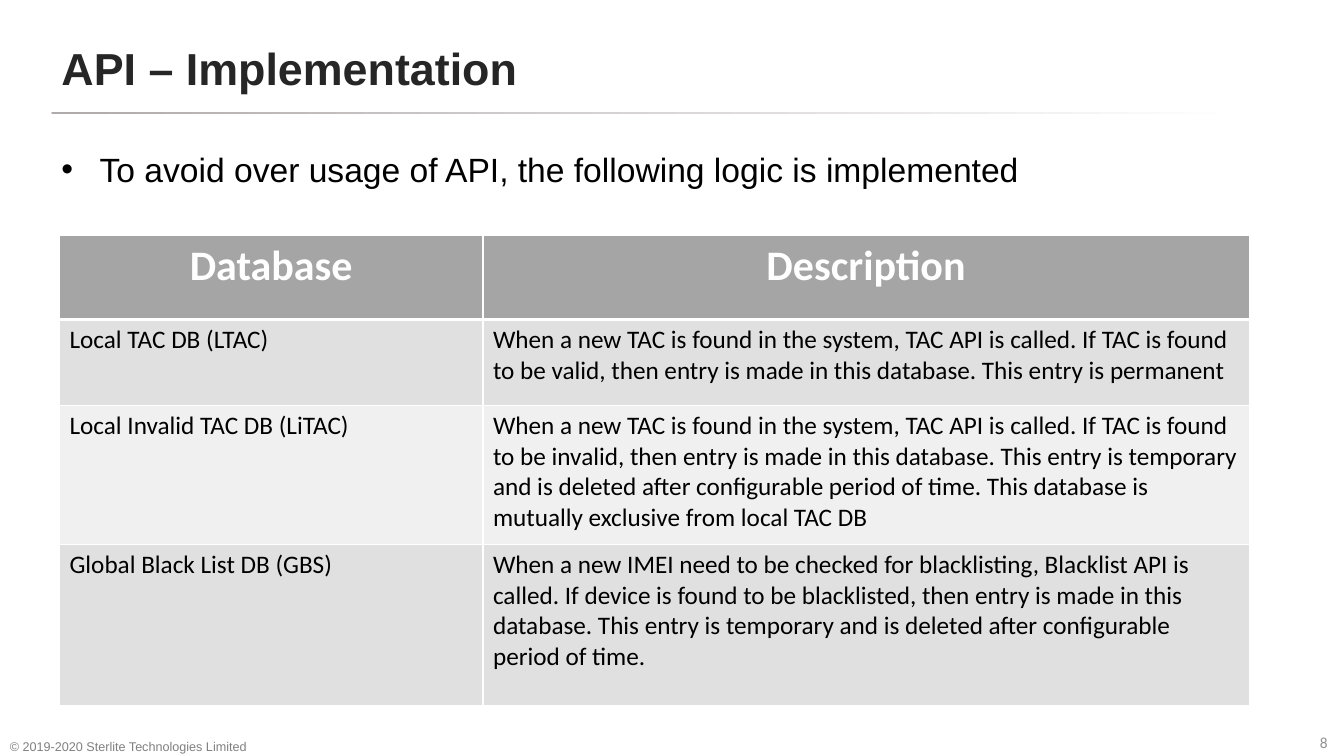
from lxml import etree
from pptx import Presentation, util as u
from pptx.dml.color import RGBColor
from pptx.enum import shapes, text
from pptx.oxml import ns


def color(value):
    return RGBColor.from_string(value)


def style(paragraph, size, name, value, bold=False):
    font = paragraph.font
    font.size, font.name, font.bold = u.Pt(size), name, bold
    font.color.rgb = color(value)


deck = Presentation()
deck.slide_width, deck.slide_height = u.Inches(13.33), u.Inches(7.5)
page = deck.slides.add_slide(deck.slide_layouts[5])
margin = u.Inches(0.51)

# Rule under the title, fading to white
rule = page.shapes.add_shape(shapes.MSO_SHAPE.ROUNDED_RECTANGLE, margin,
                             u.Inches(1.11), u.Inches(12.31), u.Inches(0.02))
rule.adjustments[0] = 0.5
rule.shadow.inherit = False
rule.line.fill.background()
rule.fill.gradient()
rule.fill.gradient_angle = 0
for stop, position, value in zip(rule.fill.gradient_stops, (0, 0.96), ("AFABAB", "FFFFFF")):
    stop.position = position
    stop.color.rgb = color(value)

# Title
title = page.shapes.title
title.left, title.top = margin, u.Inches(0.23)
title.width, title.height = u.Inches(10.88), u.Inches(0.88)
title.text_frame.text = "API – Implementation"
title.text_frame.auto_size = text.MSO_AUTO_SIZE.NONE
title.text_frame.vertical_anchor = text.MSO_ANCHOR.MIDDLE
heading = title.text_frame.paragraphs[0]
heading.alignment = text.PP_ALIGN.LEFT
style(heading, 32, "Arial", "262626", True)

# Bullet, page number and copyright line
boxes = {}
for name, wording, place, size, font_name, value in (
    ("number", "8", (13.04, 7.22, 0.27, 0.25), 11, "Calibri", "929292"),
    ("copyright", "© 2019-2020 Sterlite Technologies Limited", (0, 7.22, 3.03, 0.31),
     9, "Arial", "808080"),
    ("bullet", "To avoid over usage of API, the following logic is implemented",
     (0.51, 1.43, 12.66, 0.91), 24, "Arial", "000000"),
):
    frame = page.shapes.add_textbox(*map(u.Inches, place)).text_frame
    frame.word_wrap = name != "number"
    frame.text = wording
    para = frame.paragraphs[0]
    if name == "bullet":
        props = para._p.get_or_add_pPr()
        props.set("marL", str(u.Inches(0.38)))
        props.set("indent", str(-u.Inches(0.38)))
        etree.SubElement(props, ns.qn("a:buFont"), typeface="Arial")
        etree.SubElement(props, ns.qn("a:buChar"), char="•")
    style(para, size, font_name, value)
    boxes[name] = frame
boxes["copyright"].vertical_anchor = text.MSO_ANCHOR.BOTTOM
number = boxes["number"]
number.margin_left = number.margin_right = u.Inches(0.05)

# Table of databases
rows = (
    ("Database", "Description"),
    ("Local TAC DB (LTAC)",
     "When a new TAC is found in the system, TAC API is called. If TAC is found to be valid, "
     "then entry is made in this database. This entry is permanent"),
    ("Local Invalid TAC DB (LiTAC)",
     "When a new TAC is found in the system, TAC API is called. If TAC is found to be invalid, "
     "then entry is made in this database. This entry is temporary and is deleted after "
     "configurable period of time. This database is mutually exclusive from local TAC DB"),
    ("Global Black List DB (GBS)",
     "When a new IMEI need to be checked for blacklisting, Blacklist API is called. If device "
     "is found to be blacklisted, then entry is made in this database. This entry is temporary "
     "and is deleted after configurable period of time."),
)
heights = (0.83, 0.85, 1.38, 1.6)
fills = ("A5A5A5", "E0E0E0", "F0F0F0", "E0E0E0")
table = page.shapes.add_table(len(rows), 2, u.Inches(0.59), u.Inches(2.34),
                              u.Inches(11.8), u.Inches(sum(heights))).table
for column, width in zip(table.columns, (4.2, 7.6)):
    column.width = u.Inches(width)

for r, (wordings, height, fill) in enumerate(zip(rows, heights, fills)):
    table.rows[r].height = u.Inches(height)
    for c, wording in enumerate(wordings):
        cell = table.cell(r, c)
        props = cell._tc.get_or_add_tcPr()
        for side in "LRTB":
            thick = (r, side) in ((0, "B"), (1, "T"))
            border = etree.SubElement(props, ns.qn(f"a:ln{side}"), w=str(u.Pt(3 if thick else 1)))
            solid = etree.SubElement(border, ns.qn("a:solidFill"))
            etree.SubElement(solid, ns.qn("a:srgbClr"), val="FFFFFF")
        cell.fill.solid()
        cell.fill.fore_color.rgb = color(fill)
        cell.text = wording
        para = cell.text_frame.paragraphs[0]
        if r == 0:
            para.alignment = text.PP_ALIGN.CENTER
            style(para, 30, "Calibri", "FFFFFF", True)
        else:
            style(para, 18, "Calibri", "000000")

deck.save("out.pptx")
